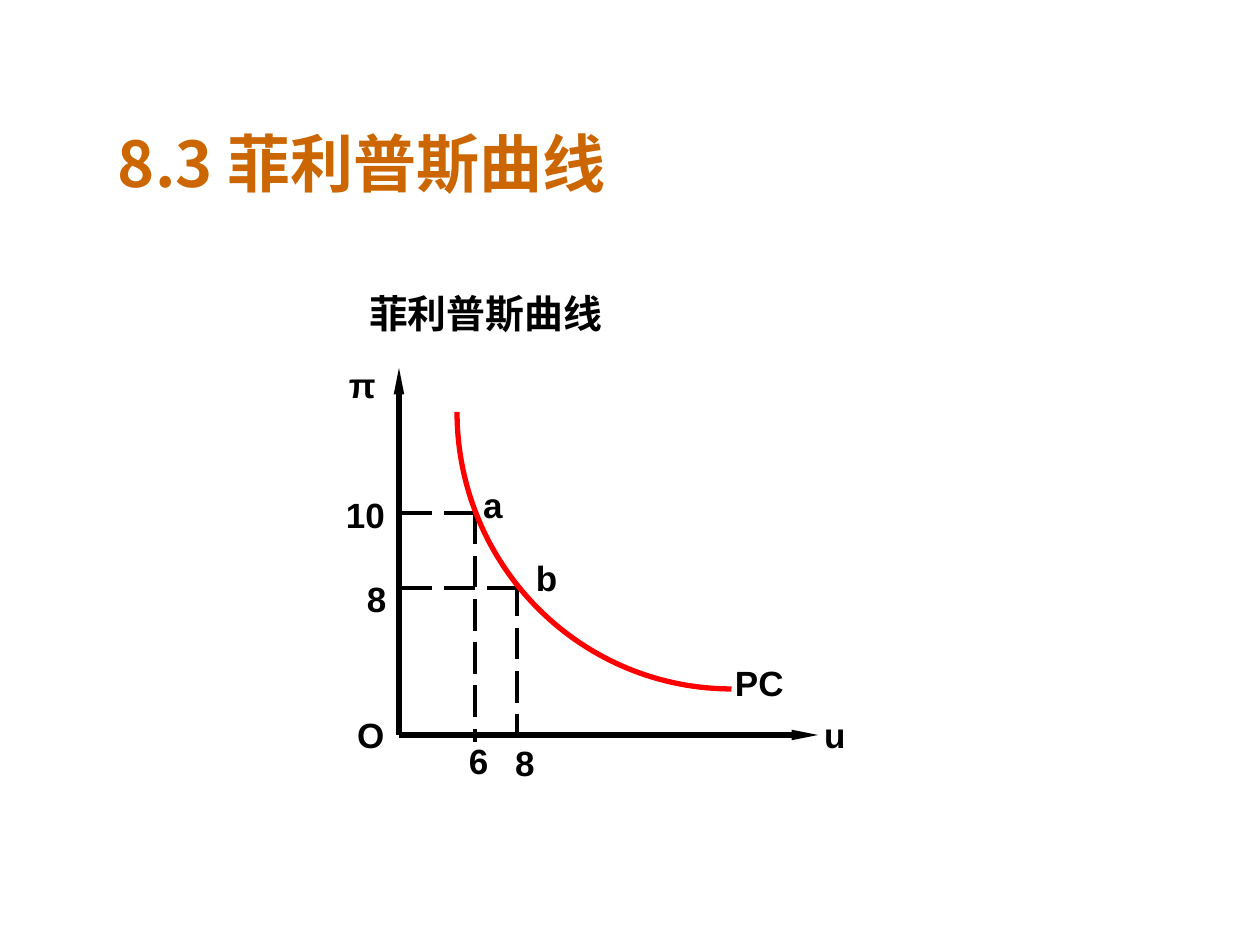
from lxml.etree import SubElement
from pptx import Presentation
from pptx.dml.color import RGBColor
from pptx.enum.dml import MSO_LINE
from pptx.enum.shapes import MSO_CONNECTOR, MSO_SHAPE
from pptx.enum.text import MSO_ANCHOR
from pptx.oxml.ns import qn
from pptx.util import Pt

SCALE = 914400 / 126
COLORS = {"ink": "000000", "title": "CC6600", "curve": "FF0000"}
LATIN, HAN = "Arial", "Noto Sans CJK SC"


def px(n):
    return round(n * SCALE)


def color(name):
    return RGBColor.from_string(COLORS[name])


def write(frame, text, size=20, font=LATIN, ink="ink"):
    run = frame.paragraphs[0].add_run()
    run.text = text
    run.font.size = Pt(size)
    run.font.bold = True
    run.font.name = font
    run.font.color.rgb = color(ink)
    SubElement(run.font._element, qn("a:ea")).set("typeface", HAN)


class Board:
    def __init__(self, slide):
        self.shapes = slide.shapes

    def text(self, text, x, y, w, h, pad=(0, 0), anchor=MSO_ANCHOR.TOP, **style):
        frame = self.shapes.add_textbox(px(x), px(y), px(w), px(h)).text_frame
        frame.word_wrap = True
        frame.vertical_anchor = anchor
        frame.margin_left = frame.margin_right = px(pad[0])
        frame.margin_top = frame.margin_bottom = px(pad[1])
        write(frame, text, **style)

    def line(self, x1, y1, x2, y2, width=3, dash=False, arrow=False):
        link = self.shapes.add_connector(
            MSO_CONNECTOR.STRAIGHT, px(x1), px(y1), px(x2), px(y2))
        link.line.color.rgb = color("ink")
        link.line.width = Pt(width)
        if dash:
            link.line.dash_style = MSO_LINE.LONG_DASH
        if arrow:
            # Slim, long arrowhead
            tail = SubElement(link.line._get_or_add_ln(), qn("a:tailEnd"))
            for key, value in (("type", "triangle"), ("w", "sm"), ("len", "lg")):
                tail.set(key, value)
        SubElement(link._element.spPr, qn("a:effectLst"))

    def arc(self, x, y, w, h, start, end):
        arc = self.shapes.add_shape(MSO_SHAPE.ARC, px(x), px(y), px(w), px(h))
        # Angles are stored in 60000ths of a degree, adjustments in 100000ths
        arc.adjustments[0] = start * 0.6
        arc.adjustments[1] = end * 0.6
        arc.shadow.inherit = False
        arc.fill.background()
        arc.line.color.rgb = color("curve")
        arc.line.width = Pt(3)


def main():
    deck = Presentation()
    deck.slide_width, deck.slide_height = px(1260), px(945)
    board = Board(deck.slides.add_slide(deck.slide_layouts[6]))
    pad = (13, 6)

    # Headings
    board.text("8.3 菲利普斯曲线", 105, 115, 1008, 94, pad=pad,
               anchor=MSO_ANCHOR.MIDDLE, size=36, font=HAN, ink="title")
    board.text("菲利普斯曲线", 356, 284, 294, 63, pad=pad, size=22.2)

    # Axes, the level one ending short of its label
    left, base = 399, 735
    board.line(left, base, left, 368, arrow=True)
    board.line(left, base, 818, base, arrow=True)

    # Guides from each point to both axes
    for x, y, right, top, foot in ((475, 513, 479, 513, 742),
                                   (517, 588, 520, 585, 737)):
        board.line(left + 2, y, right, y, width=2.25, dash=True)
        board.line(x, top, x, foot, width=2.25, dash=True)

    # Curve: lower left quarter of an ellipse
    board.arc(457, 135, 549, 554, 90, 180)

    # Labels
    for name, x, y, w in (("O", 357, 713, 32), ("u", 824, 713, 32),
                          ("10", 346, 493, 64), ("8", 367, 577, 24),
                          ("6", 469, 740, 32), ("8", 515, 741, 32),
                          ("a", 483, 483, 32), ("b", 536, 556, 32),
                          ("PC", 735, 661, 62)):
        board.text(name, x, y, w, 45)
    board.text("π", 336, 357, 52, 55, pad=pad)

    deck.save("out.pptx")


if __name__ == "__main__":
    main()
